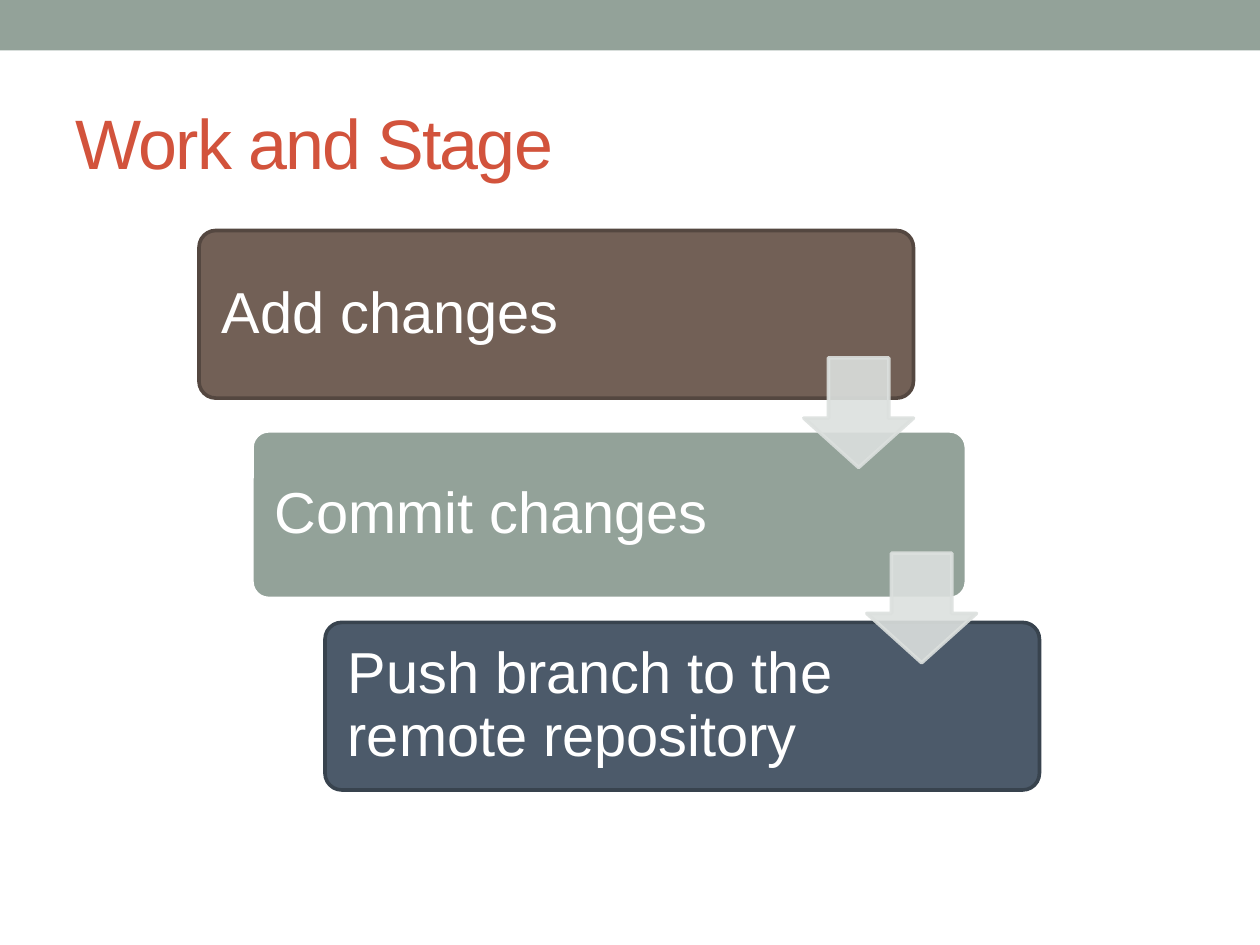
from lxml import etree
from pptx import Presentation
from pptx.dml.color import RGBColor
from pptx.enum.shapes import MSO_SHAPE
from pptx.enum.text import MSO_ANCHOR, PP_ALIGN
from pptx.oxml.ns import qn
from pptx.util import Inches, Pt

RECTANGLE = MSO_SHAPE.RECTANGLE
ROUNDED = MSO_SHAPE.ROUNDED_RECTANGLE
DOWN_ARROW = MSO_SHAPE.DOWN_ARROW
MIDDLE = MSO_ANCHOR.MIDDLE
LEFT = PP_ALIGN.LEFT

FONT = "Arial"
SAGE = "93A299"
WHITE = "FFFFFF"
PALE = "DCE0DE"
STEP_WIDTH, STEP_HEIGHT = 5.67, 1.33
LABEL_WIDTH, LABEL_OFFSET = 4.22, 0.04
ARROW_SIZE = 0.87

# Text, left, top, fill, outline
STEPS = [
    ("Add changes", 1.58, 1.83, "726056", "544740"),
    ("Commit changes", 2, 3.42, SAGE, WHITE),
    ("Push branch to the remote repository", 2.58, 4.94, "4C5A6A", "38434E"),
]
ARROWS = [(6.38, 2.84), (6.88, 4.39)]


def paint(color_format, color):
    color_format.rgb = RGBColor.from_string(color)


def set_opacity(fill_owner, percent):
    for color in fill_owner.iter(qn("a:srgbClr")):
        etree.SubElement(color, qn("a:alpha"), val=str(percent * 1000))


def add_block(slide, kind, left, top, width, height, fill, outline=None, adjustments=()):
    block = slide.shapes.add_shape(
        kind, Inches(left), Inches(top), Inches(width), Inches(height))
    block.shadow.inherit = False
    block.fill.solid()
    paint(block.fill.fore_color, fill)
    if outline:
        block.line.width = Pt(2.08)
        paint(block.line.color, outline)
    else:
        block.line.fill.background()
    for index, value in enumerate(adjustments):
        block.adjustments[index] = value
    return block


def add_label(slide, text, left, top, width, height, size, color, inset=None):
    label = slide.shapes.add_textbox(
        Inches(left), Inches(top), Inches(width), Inches(height))
    frame = label.text_frame
    frame.word_wrap = True
    frame.vertical_anchor = MIDDLE
    if inset is not None:
        frame.margin_left = frame.margin_right = Inches(inset)
        frame.margin_top = frame.margin_bottom = Inches(inset)
    paragraph = frame.paragraphs[0]
    paragraph.text = text
    paragraph.alignment = LEFT
    paragraph.font.name = FONT
    paragraph.font.size = Pt(size)
    paint(paragraph.font.color, color)
    return paragraph


def add_title(slide, text):
    title = add_label(slide, text, 0.5, 0.58, 9, 1.08, 40, "D2533C")
    # Tighten the letters by one point
    title.runs[0].font._element.set("spc", "-100")


def add_step(slide, text, left, top, fill, outline):
    add_block(slide, ROUNDED, left, top, STEP_WIDTH, STEP_HEIGHT, fill, outline, [0.1])
    label = add_label(slide, text, left + LABEL_OFFSET, top + LABEL_OFFSET, LABEL_WIDTH,
                      STEP_HEIGHT - 2 * LABEL_OFFSET, 33, WHITE, inset=0.14)
    label.line_spacing = 0.9


def add_arrow(slide, left, top):
    # The adjustments are head length and shaft width
    arrow = add_block(slide, DOWN_ARROW, left, top, ARROW_SIZE, ARROW_SIZE,
                      PALE, PALE, [0.55, 0.45])
    set_opacity(arrow._element.spPr, 90)


def main():
    presentation = Presentation()
    presentation.slide_width = Inches(10)
    presentation.slide_height = Inches(7.5)
    slide = presentation.slides.add_slide(presentation.slide_layouts[6])

    # Top band and title
    add_block(slide, RECTANGLE, 0, 0, 10, 0.4, SAGE)
    add_title(slide, "Work and Stage")

    # Staircase of steps, with arrows on top
    for step in STEPS:
        add_step(slide, *step)
    for left, top in ARROWS:
        add_arrow(slide, left, top)

    presentation.save("out.pptx")


if __name__ == "__main__":
    main()
